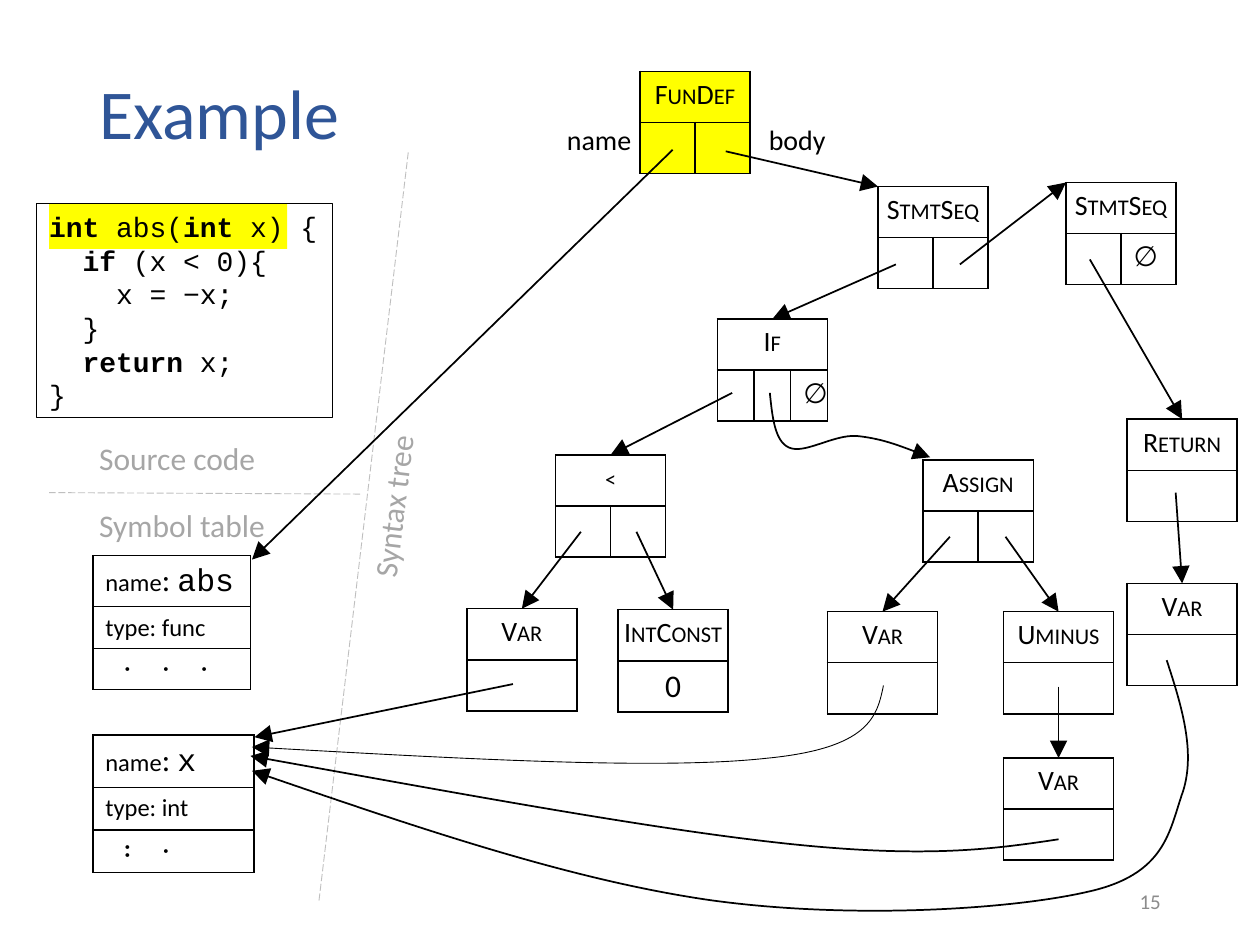
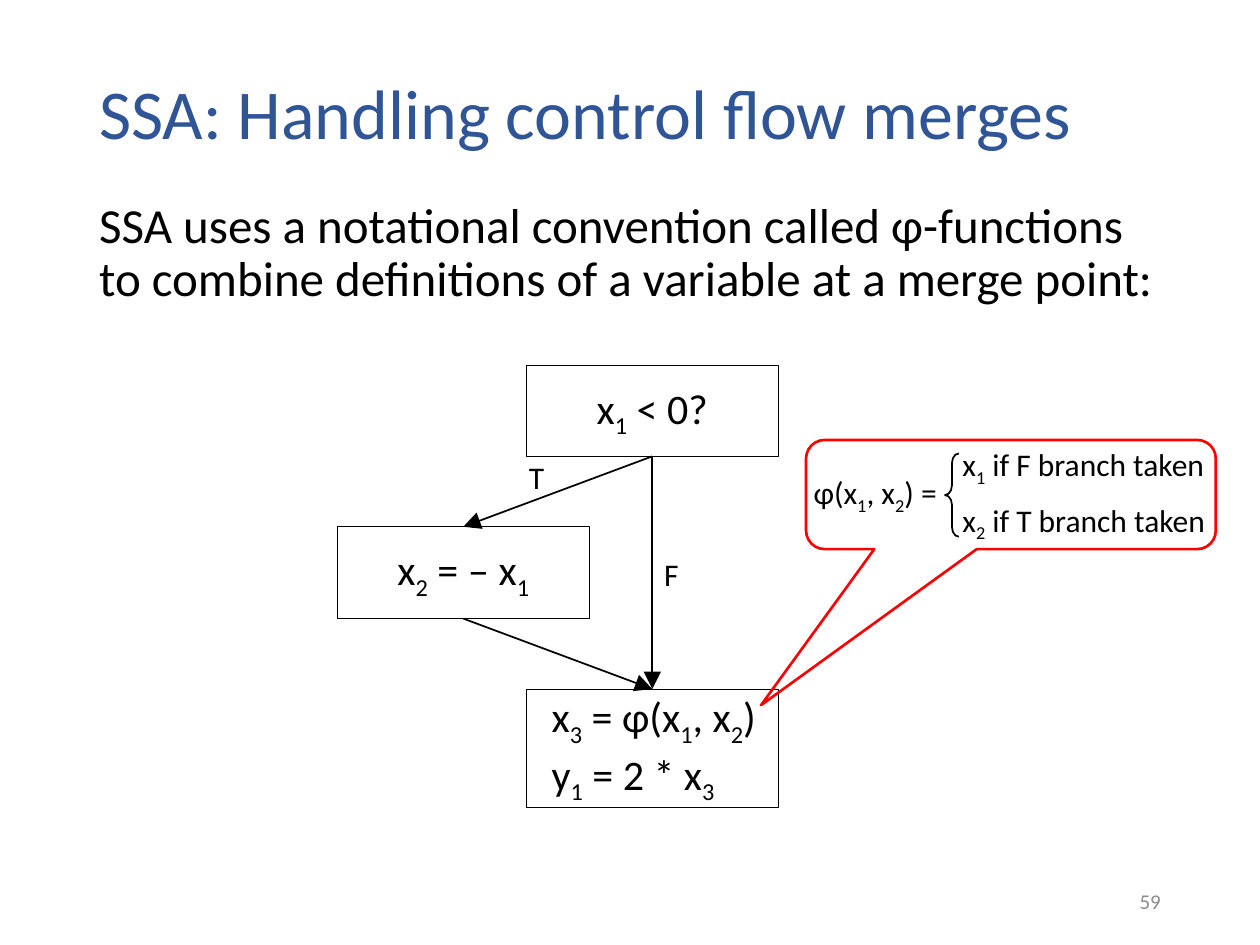
from dataclasses import dataclass
from itertools import product
from typing import NamedTuple

from lxml.etree import SubElement
from pptx import Presentation
from pptx.dml.color import RGBColor
from pptx.enum.dml import MSO_LINE
from pptx.enum.shapes import MSO_CONNECTOR, MSO_SHAPE as SHAPE
from pptx.enum.text import MSO_ANCHOR as ANCHOR, PP_ALIGN as ALIGN
from pptx.oxml.ns import qn
from pptx.util import Cm, Pt

BLACK, BLUE, RED, YELLOW = "000000", "2F5597", "FF0000", "FFFF00"
GREY, PALE, NUMBER = "A6A6A6", "BFBFBF", "8C8C8C"
SANS, MONO = "Calibri", "Courier New"
NODE_W, NODE_ROW = 2.22, 1.03


class Point(NamedTuple):
    x: float
    y: float


class Box(NamedTuple):
    left: float
    top: float
    width: float
    height: float

    def lengths(self):
        return [Cm(v) for v in self]

    @property
    def top_mid(self) -> Point:
        return Point(self.left + self.width / 2, self.top)

    @property
    def bottom_mid(self) -> Point:
        return Point(self.left + self.width / 2, self.top + self.height)


@dataclass
class Node:
    """A tree node: a label above a row of slots."""
    label: str
    left: float
    top: float
    slots: tuple = ("",)
    fill: str | None = None

    @property
    def corner(self) -> Point:
        return Point(self.left, self.top)

    @property
    def top_mid(self) -> Point:
        return Point(self.left + NODE_W / 2, self.top)


# ---- text ----
def rgb(color: str) -> RGBColor:
    return RGBColor.from_string(color)


def write(p, text: str, size=18, font=SANS, color=BLACK, align=None,
          spacing=None, small_caps=False):
    """Add runs to a paragraph: |bold| parts, and _ before a subscript digit."""
    if align is not None:
        p.alignment = align
    if spacing:
        p.line_spacing = spacing
    for i, part in enumerate(text.split("|")):
        for j, piece in enumerate(part.split("_")):
            bits = [(piece[:1], True), (piece[1:], False)] if j else [(piece, False)]
            for bit, lowered in bits:
                if not bit:
                    continue
                r = p.add_run()
                r.text = bit
                r.font.size, r.font.name, r.font.bold = Pt(size), font, i % 2 == 1
                r.font.color.rgb = rgb(color)
                if lowered:
                    r._r.get_or_add_rPr().set("baseline", "-25000")
                if small_caps:
                    r._r.get_or_add_rPr().set("cap", "small")


def write_lines(tf, text: str, **fmt):
    for i, line in enumerate(text.split("\n")):
        write(tf.add_paragraph() if i else tf.paragraphs[0], line, **fmt)


def add_text(s, box: Box, text: str, wrap=False, anchor=ANCHOR.TOP, **fmt):
    sp = s.shapes.add_textbox(*box.lengths())
    sp.text_frame.word_wrap = wrap
    sp.text_frame.vertical_anchor = anchor
    write_lines(sp.text_frame, text, **fmt)
    return sp


# ---- shapes and lines ----
def style(sp, fill=None, line=None, width=0.5):
    sp.shadow.inherit = False
    if fill:
        sp.fill.solid()
        sp.fill.fore_color.rgb = rgb(fill)
    else:
        sp.fill.background()
    if line:
        sp.line.color.rgb = rgb(line)
        sp.line.width = Pt(width)
    else:
        sp.line.fill.background()


def add_box(s, box: Box, kind=SHAPE.RECTANGLE, text="", adjust=(), fill=None,
            line=BLACK, width=0.5, **fmt):
    sp = s.shapes.add_shape(kind, *box.lengths())
    style(sp, fill, line, width)
    for i, value in enumerate(adjust):
        sp.adjustments[i] = value
    if text:
        sp.text_frame.vertical_anchor = ANCHOR.MIDDLE
        write_lines(sp.text_frame, text, **fmt)
    return sp


def add_head(sp):
    SubElement(sp.line._get_or_add_ln(), qn("a:tailEnd"), type="triangle",
               w="lg", len="lg")


def add_line(s, start: Point, end: Point, color=BLACK, width=1.0, arrow=True):
    c = s.shapes.add_connector(MSO_CONNECTOR.STRAIGHT,
                               *[Cm(v) for v in (*start, *end)])
    SubElement(c._element.spPr, qn("a:effectLst"))
    c.line.color.rgb = rgb(color)
    c.line.width = Pt(width)
    if arrow:
        add_head(c)
    else:
        c.line.dash_style = MSO_LINE.LONG_DASH


def add_curve(s, points: list, width=1.0):
    """Draw an arrow along joined cubic Bezier pieces."""
    track = [(Cm(x), Cm(y)) for x, y in points]
    builder = s.shapes.build_freeform(*track[0])
    builder.add_line_segments(track[3::3], close=False)
    sp = builder.convert_to_shape()
    for k, segment in enumerate(list(sp._element.iter(qn("a:lnTo")))):
        segment.tag = qn("a:cubicBezTo")
        for i, (x, y) in enumerate(track[3 * k + 1:3 * k + 3]):
            pt = SubElement(segment, qn("a:pt"), x=str(x - sp.left), y=str(y - sp.top))
            segment.insert(i, pt)
    style(sp, line=BLACK, width=width)
    add_head(sp)


# ---- tables ----
def format_cell(cell, border=True, fill=None):
    if fill:
        cell.fill.solid()
        cell.fill.fore_color.rgb = rgb(fill)
    else:
        cell.fill.background()
    tcPr = cell._tc.get_or_add_tcPr()
    for i, side in enumerate(("lnL", "lnR", "lnT", "lnB")):
        ln = SubElement(tcPr, qn(f"a:{side}"), w=str(Pt(1)))
        if border:
            SubElement(SubElement(ln, qn("a:solidFill")), qn("a:srgbClr"), val=BLACK)
        else:
            SubElement(ln, qn("a:noFill"))
        tcPr.insert(i, ln)


def add_grid(s, left, top, widths, heights, **fmt):
    box = Box(left, top, sum(widths), sum(heights))
    tbl = s.shapes.add_table(len(heights), len(widths), *box.lengths()).table
    tbl.first_row = tbl.horz_banding = False
    for col, width in zip(tbl.columns, widths):
        col.width = Cm(width)
    for row, height in zip(tbl.rows, heights):
        row.height = Cm(height)
    for i, j in product(range(len(heights)), range(len(widths))):
        format_cell(tbl.cell(i, j), **fmt)
    return tbl


def fill_cell(cell, text, tight=True, **fmt):
    if tight:
        cell.margin_left = cell.margin_right = 0
    write(cell.text_frame.paragraphs[0], text, **fmt)


def add_node(s, node: Node):
    n = len(node.slots)
    tbl = add_grid(s, node.left, node.top, [NODE_W / n] * n, [NODE_ROW] * 2,
                   fill=node.fill)
    if n > 1:
        tbl.cell(0, 0).merge(tbl.cell(0, n - 1))
    fill_cell(tbl.cell(0, 0), node.label, size=16, align=ALIGN.CENTER, small_caps=True)
    for j, text in enumerate(node.slots):
        if text:
            empty = text == "∅"
            fill_cell(tbl.cell(1, j), text, tight=not empty, size=16 if empty else 18,
                      align=ALIGN.LEFT if n == 2 else ALIGN.CENTER)


def add_symbol(s, name, kind, left, top, width, heights):
    tbl = add_grid(s, left, top, [width], heights)
    p = tbl.cell(0, 0).text_frame.paragraphs[0]
    write(p, "name", size=14)
    write(p, ": ")
    write(p, name, font=MONO)
    fill_cell(tbl.cell(1, 0), f"type: {kind}", tight=False, size=14)
    fill_cell(tbl.cell(2, 0), "...", tight=False, align=ALIGN.CENTER)
    tbl.cell(2, 0)._tc.get_or_add_tcPr().set("vert", "vert270")


# ---- slides ----
def new_slide(prs, title: str, number: int):
    s = prs.slides.add_slide(prs.slide_layouts[6])
    add_text(s, Box(1.75, 1.02, 21.9, 2.67), title, wrap=True, anchor=ANCHOR.MIDDLE,
             size=40, color=BLUE, spacing=0.9)
    add_text(s, Box(17.93, 17.65, 5.72, 1.02), str(number), wrap=True,
             anchor=ANCHOR.MIDDLE, size=12, color=NUMBER, align=ALIGN.RIGHT)
    return s


CODE = """|int| abs(|int| x) {
|  if| (x < 0){
    x = −x;
  }
|  return| x;
}"""


def example_slide(prs):
    s = new_slide(prs, "Example", 15)
    # Source code
    add_box(s, Box(0.99, 4.11, 4.8, 0.91), fill=YELLOW, line=None)
    add_box(s, Box(0.74, 4.11, 5.97, 4.3), text=CODE, size=16, font=MONO,
            align=ALIGN.LEFT)
    # Region dividers and labels
    add_line(s, Point(8.23, 3.07), Point(6.43, 18.16), PALE, 0.5, arrow=False)
    add_line(s, Point(7.26, 9.96), Point(0.99, 9.93), PALE, 0.5, arrow=False)
    add_text(s, Box(1.75, 8.73, 3.71, 1.02), "Source code", color=GREY)
    add_text(s, Box(1.75, 10.08, 4.04, 1.02), "Symbol table", color=GREY)
    add_text(s, Box(6.21, 9.67, 3.43, 1.02), "Syntax tree", color=GREY).rotation = 277
    add_text(s, Box(11.18, 2.34, 1.83, 0.94), "name", size=16)
    add_text(s, Box(15.25, 2.34, 1.68, 0.94), "body", size=16)
    # Symbol table
    add_symbol(s, "abs", "func", 1.87, 11.2, 3.18, [1.03, 0.82, 0.82])
    add_symbol(s, "x", "int", 1.87, 14.82, 3.25, [1.05, 0.86, 0.86])
    # Syntax tree
    two = ("", "")
    fun = Node("FunDef", 12.9, 1.44, two, YELLOW)
    seq = Node("StmtSeq", 17.7, 3.76, two)
    last_seq = Node("StmtSeq", 21.49, 3.68, ("", "∅"))
    cond = Node("If", 14.46, 6.43, ("", "", "∅"))
    less = Node("<", 11.2, 9.17, two)
    less_var = Node("Var", 9.41, 12.27)
    const = Node("IntConst", 12.46, 12.29, ("0",))
    assign = Node("Assign", 18.61, 9.27, two)
    target = Node("Var", 16.68, 12.33)
    minus = Node("Uminus", 20.23, 12.33)
    minus_var = Node("Var", 20.23, 15.28)
    ret = Node("Return", 22.72, 8.45)
    ret_var = Node("Var", 22.72, 11.76)
    for node in (fun, seq, last_seq, cond, less, less_var, const, assign, target,
                 minus, minus_var, ret, ret_var):
        add_node(s, node)
    # Links from slots to nodes and symbols
    for start, end in (
            (Point(13.56, 3.02), Point(5.08, 11.28)),
            (Point(14.63, 3.05), seq.corner),
            (Point(18.06, 5.33), cond.top_mid),
            (Point(19.35, 5.33), last_seq.corner),
            (Point(21.97, 5.23), ret.top_mid),
            (Point(14.76, 7.92), less.top_mid),
            (Point(11.71, 10.72), less_var.top_mid),
            (Point(12.83, 10.72), const.top_mid),
            (Point(19.15, 10.82), target.top_mid),
            (Point(20.27, 10.82), minus.top_mid),
            (Point(21.34, 13.84), minus_var.top_mid),
            (Point(23.7, 9.93), ret_var.top_mid),
            (Point(10.34, 13.79), Point(5.13, 14.86))):
        add_line(s, start, end)
    add_curve(s, [(15.52, 7.92), (15.57, 8.41), (15.62, 8.89), (15.9, 9.02),
                  (16.21, 9.17), (16.79, 8.76), (17.27, 8.79),
                  (17.75, 8.84), (18.24, 9.02), (18.75, 9.22)])
    add_curve(s, [(21.34, 16.92), (20.02, 17.12), (18.69, 17.3), (15.98, 17.02),
                  (13.26, 16.74), (9.17, 15.98), (5.05, 15.24)])
    add_curve(s, [(23.52, 13.31), (23.83, 14.25), (24.1, 15.16), (23.85, 15.95),
                  (23.57, 16.74), (23.52, 17.63), (21.92, 17.98),
                  (20.35, 18.34), (17.09, 18.54), (14.27, 18.14),
                  (11.48, 17.73), (8.28, 16.64), (5.08, 15.54)])
    add_curve(s, [(17.81, 13.82), (17.68, 14.45), (17.53, 15.09), (15.42, 15.29),
                  (13.28, 15.52), (9.19, 15.29), (5.08, 15.06)], width=0.5)


def ssa_slide(prs):
    s = new_slide(prs, "SSA: Handling control flow merges", 59)
    add_text(s, Box(1.75, 3.94, 21.9, 2.54),
             "SSA uses a notational convention called φ-functions to combine "
             "definitions of a variable at a merge point:",
             wrap=True, size=28, spacing=0.9)
    # Control flow
    test, negate = Box(10.61, 7.37, 5.08, 1.83), Box(6.8, 10.62, 5.08, 1.85)
    merge = Box(10.61, 13.89, 5.08, 2.39)
    add_box(s, test, text="x_1 < 0?", size=24, align=ALIGN.CENTER)
    add_box(s, negate, text="x_2 = ‒ x_1", size=24, align=ALIGN.CENTER)
    sp = add_box(s, merge, text="x_3 = φ(x_1, x_2)\ny_1 = 2 * x_3", size=24,
                 align=ALIGN.LEFT)
    sp.text_frame.margin_left = Cm(0.51)
    for start, end in ((test, negate), (test, merge), (negate, merge)):
        add_line(s, start.bottom_mid, end.top_mid)
    add_text(s, Box(10.41, 9.11, 0.81, 1.02), "T")
    add_text(s, Box(13.14, 11.07, 0.81, 1.02), "F")
    # Definition of the φ-function
    add_box(s, Box(16.25, 8.87, 8.26, 2.2), SHAPE.ROUNDED_RECTANGULAR_CALLOUT,
            adjust=(-0.61, 1.93, 0.17), line=RED, width=1.5)
    tbl = add_grid(s, 16.4, 8.87, [3, 5.41], [1.03] * 2, border=False)
    tbl.cell(0, 0).merge(tbl.cell(1, 0))
    for i, j, text in ((0, 0, "φ(x_1, x_2) ="), (0, 1, "x_1 if F branch taken"),
                       (1, 1, "x_2 if T branch taken")):
        fill_cell(tbl.cell(i, j), text)
        tbl.cell(i, j).vertical_anchor = ANCHOR.MIDDLE
    add_box(s, Box(19.05, 9.14, 0.28, 1.68), SHAPE.RIGHT_BRACE, adjust=(0.7, 0.5),
            width=1).rotation = 180


def main():
    prs = Presentation()
    prs.slide_width, prs.slide_height = Cm(25.4), Cm(19.05)
    example_slide(prs)
    ssa_slide(prs)
    prs.save("out.pptx")


if __name__ == "__main__":
    main()
